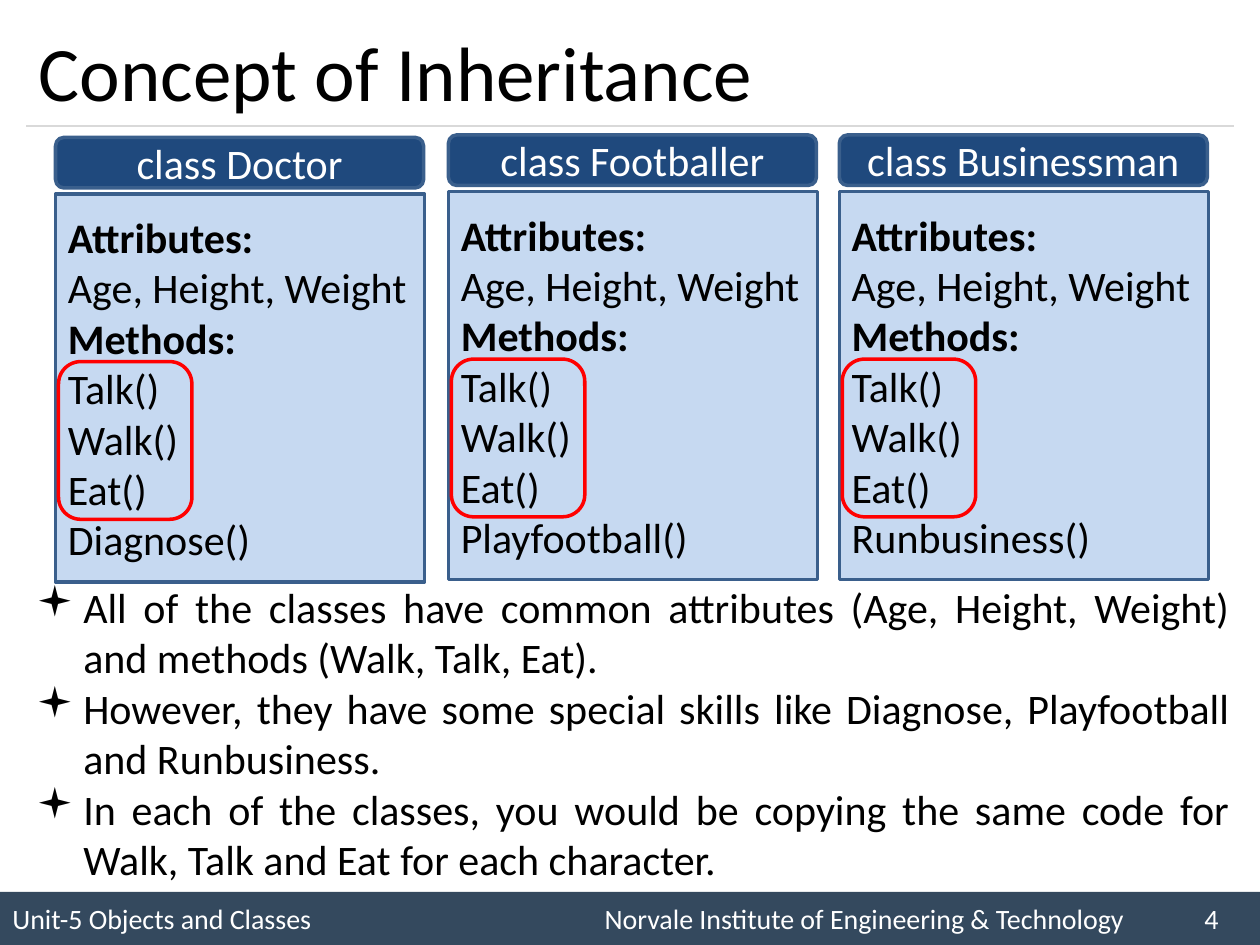
from lxml.etree import SubElement as Sub
from pptx import Presentation
from pptx.dml.color import RGBColor as Rgb
from pptx.enum.shapes import MSO_CONNECTOR as Conn, MSO_SHAPE as Kind
from pptx.enum.text import MSO_ANCHOR as Anchor, PP_ALIGN as Align
from pptx.oxml.ns import qn
from pptx.util import Cm, Pt

# Content
TITLE = "Concept of Inheritance"
CARDS = [  # left, top, name, own method
    (1.12, 2.77, "class Doctor", "Diagnose()"),
    (9.04, 2.72, "class Footballer", "Playfootball()"),
    (16.92, 2.72, "class Businessman", "Runbusiness()"),
]
SHARED = ["Attributes:", "Age, Height, Weight", "Methods:",
          "Talk()", "Walk()", "Eat()"]
POINTS = [
    "All of the classes have common attributes (Age, Height, Weight) "
    "and methods (Walk, Talk, Eat).",
    "However, they have some special skills like Diagnose, Playfootball "
    "and Runbusiness.",
    "In each of the classes, you would be copying the same code for "
    "Walk, Talk and Eat for each character.",
]
FOOTER = ["Unit-5 Objects and Classes",
          "Norvale Institute of Engineering & Technology", "4"]
TABS = [11.94, 24.03]  # from the left text edge

# Look
COLORS = {"text": "000000", "white": "FFFFFF", "bar": "34495E", "rule": "D9D9D9",
          "head": "1F497D", "body": "C6D9F1", "edge": "3A5F8C", "ring": "FF0000"}
FONT = {"name": "Calibri", "size": Pt(24), "bold": False}


def tint(key):
    return Rgb.from_string(COLORS[key])


def write(shape, lines, color="text", align=Align.LEFT, **font):
    frame = shape.text_frame
    frame.word_wrap = True
    frame.vertical_anchor = Anchor.MIDDLE
    for i, line in enumerate(lines):
        para = frame.paragraphs[0] if i == 0 else frame.add_paragraph()
        para.alignment = align
        run = para.add_run()
        run.text = line
        run.font.color.rgb = tint(color)
        for key, val in {**FONT, **font}.items():
            setattr(run.font, key, val)
    return frame.paragraphs


def draw(kind, box, fill=None, edge=None):
    shape = slide.shapes.add_shape(kind, *map(Cm, box))
    shape.shadow.inherit = False
    for part, key in ((shape.fill, fill), (shape.line.fill, edge)):
        if key:
            part.solid()
            part.fore_color.rgb = tint(key)
        else:
            part.background()
    if edge:
        shape.line.width = Pt(2)
    return shape


def label(box):
    return slide.shapes.add_textbox(*map(Cm, box))


deck = Presentation()
deck.slide_width, deck.slide_height = Cm(25.4), Cm(19.05)
slide = deck.slides.add_slide(deck.slide_layouts[6])

# Footer bar with tab stops
bar = draw(Kind.RECTANGLE, (0, 17.98, 25.4, 1.07), "bar")
para = write(bar, ["\t".join(FOOTER)], "white", size=Pt(16))[0]
stops = Sub(para._p.get_or_add_pPr(), qn("a:tabLst"))
for pos in TABS:
    Sub(stops, qn("a:tab"), pos=str(Cm(pos)), algn="l")

# Title and rule
write(label((0.53, 0.3, 24.33, 2.24)), [TITLE], size=Pt(44))
rule = slide.shapes.add_connector(
    Conn.STRAIGHT, Cm(0.53), Cm(2.54), Cm(24.87), Cm(2.54))
rule.line.color.rgb = tint("rule")
rule.line.width = Pt(0.75)
Sub(rule._element.spPr, qn("a:effectLst"))

# Class cards: body, head, ring around the shared methods
for left, top, name, own in CARDS:
    body = draw(Kind.RECTANGLE, (left, top + 1.14, 7.44, 7.82), "body", "edge")
    for para in write(body, SHARED + [own]):
        para.runs[0].font.bold = para.text.endswith(":")
    head = draw(Kind.ROUNDED_RECTANGLE, (left, top, 7.42, 1.02), "head", "edge")
    write(head, [name], "white", Align.CENTER)
    draw(Kind.ROUNDED_RECTANGLE, (left + 0.06, top + 4.52, 2.69, 3.18), edge="ring")

# Bullet points
for para in write(label((0.48, 11.76, 24.56, 6.02)), POINTS, align=Align.JUSTIFY):
    props = para._p.get_or_add_pPr()
    props.set("marL", str(Cm(0.95)))
    props.set("indent", str(Cm(-0.95)))
    Sub(props, qn("a:buFont"), typeface="Wingdings")
    Sub(props, qn("a:buChar"), char="▪")

deck.save("out.pptx")
